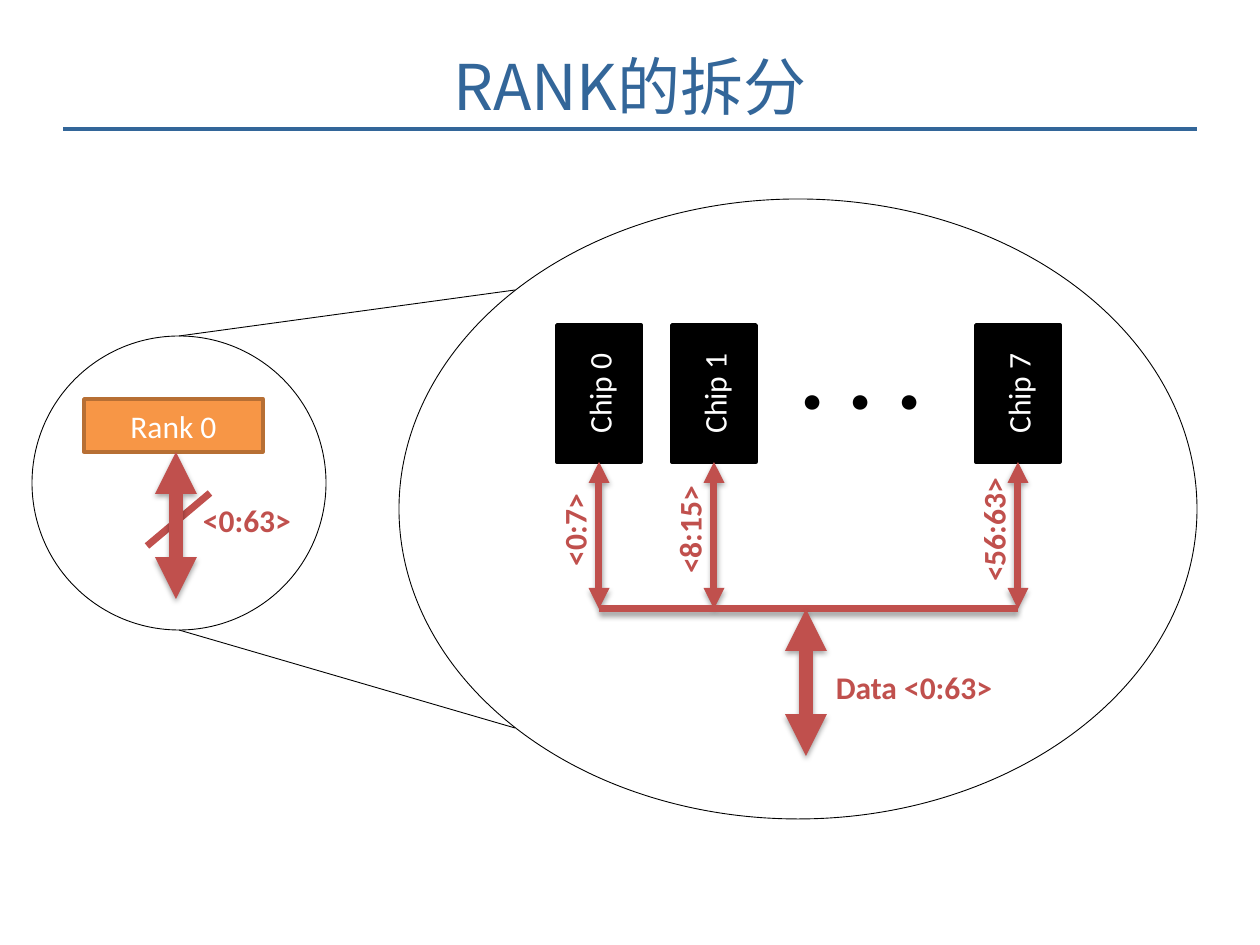
"""Build a slide showing how a memory rank splits into eight chips."""
import pptx
import pptx.dml.color
import pptx.enum.shapes
import pptx.enum.text
import pptx.oxml
import pptx.oxml.ns
import pptx.util

THEME = {
    "blue": "336699", "red": "C0504D", "orange": "F79646", "brown": "B76F34",
    "black": "000000", "white": "FFFFFF",
    "body_font": "Calibri", "title_font": "Noto Sans CJK SC",
    "title": 36, "label": 18, "dots": 56,
    "hair": 0.5, "border": 2, "bus": 4, "wide": 8,
}
TITLE = ("RANK的拆分", (63, 32, 1134, 106))
RANK = ("Rank 0", (84, 399, 179, 53))
CHIPS = [("Chip 0", "<0:7>", 599), ("Chip 1", "<8:15>", 714), ("Chip 7", "<56:63>", 1018)]
CHIP_WIDTH, CHIP_HEIGHT, CHIP_TOP = 84, 137, 325
BUS_Y = 609
LANE_LABEL_WIDTH, LABEL_HEIGHT, LANE_LABEL_TOP, LANE_LABEL_SHIFT = 136, 50, 505, 25
ELLIPSES = [(32, 336, 294, 294), (399, 199, 798, 620)]
ZOOM_LINES = [(179, 336, 515, 290), (179, 630, 515, 728)]
WIDE_ARROWS = [(176, 599, 176, 452), (806, 756, 806, 609)]
SLASH = (147, 546, 210, 493)
RED_LABELS = [("<0:63>", (179, 495, 136, 50)), ("Data <0:63>", (809, 662, 210, 50))]
DOTS = (". . .", (777, 305, 168, 131))
TITLE_RULE = (63, 129, 1197, 129)

SHADOW = (
    '<a:outerShdw blurRad="40000" dist="23000" dir="5400000" rotWithShape="0">'
    '<a:srgbClr val="000000"><a:alpha val="35000"/></a:srgbClr></a:outerShdw>'
)


def px(*values):
    return [pptx.util.Emu(round(value * 914400 / 126)) for value in values]


def color(name):
    return pptx.dml.color.RGBColor.from_string(THEME[name])


def write(shape, text, ink, size="label", bold=False, font="body_font"):
    frame = shape.text_frame
    frame.word_wrap = True
    paragraph = frame.paragraphs[0]
    paragraph.text = text
    paragraph.alignment = pptx.enum.text.PP_ALIGN.CENTER
    paragraph.font.name = THEME[font]
    paragraph.font.size = pptx.util.Pt(THEME[size])
    paragraph.font.bold = bold
    paragraph.font.color.rgb = color(ink)
    return frame


def add_label(slide, text, box, ink, **style):
    shape = slide.shapes.add_textbox(*px(*box))
    write(shape, text, ink, **style)
    return shape


def add_shape(slide, kind, box, line, width, fill=None):
    shape = slide.shapes.add_shape(kind, *px(*box))
    shape.shadow.inherit = False
    if fill:
        shape.fill.solid()
        shape.fill.fore_color.rgb = color(fill)
    else:
        shape.fill.background()
    shape.line.color.rgb = color(line)
    shape.line.width = pptx.util.Pt(THEME[width])
    return shape


def add_box(slide, text, box, fill, line):
    shape = add_shape(slide, pptx.enum.shapes.MSO_SHAPE.RECTANGLE, box, line, "border", fill)
    frame = write(shape, text, "white")
    frame.vertical_anchor = pptx.enum.text.MSO_ANCHOR.MIDDLE
    return shape


def add_line(slide, ends, ink, width, arrows=False, shadow=False):
    line = slide.shapes.add_connector(pptx.enum.shapes.MSO_CONNECTOR.STRAIGHT, *px(*ends))
    line.line.color.rgb = color(ink)
    line.line.width = pptx.util.Pt(THEME[width])
    if arrows:
        outline = line.line._get_or_add_ln()
        for tag in ("a:headEnd", "a:tailEnd"):
            pptx.oxml.ns.qn(tag)
            end = outline.makeelement(pptx.oxml.ns.qn(tag), {"type": "triangle"})
            outline.append(end)
    effects = f'<a:effectLst {pptx.oxml.ns.nsdecls("a")}>{SHADOW if shadow else ""}</a:effectLst>'
    line._element.spPr.append(pptx.oxml.parse_xml(effects))
    return line


def add_chip(slide, name, lane, center):
    box = (center - CHIP_WIDTH / 2, CHIP_TOP, CHIP_WIDTH, CHIP_HEIGHT)
    chip = add_box(slide, name, box, "black", "black")
    chip.text_frame._txBody.bodyPr.set("vert", "vert270")
    ends = (center, BUS_Y, center, CHIP_TOP + CHIP_HEIGHT)
    arrow = add_line(slide, ends, "red", "bus", arrows=True, shadow=True)
    arrow.end_connect(chip, 2)
    left = center - LANE_LABEL_SHIFT - LANE_LABEL_WIDTH / 2
    label_box = (left, LANE_LABEL_TOP, LANE_LABEL_WIDTH, LABEL_HEIGHT)
    add_label(slide, lane, label_box, "red", bold=True).rotation = 270


def add_title(slide):
    text, box = TITLE
    title = add_label(slide, text, box, "blue", size="title", font="title_font")
    title.text_frame.vertical_anchor = pptx.enum.text.MSO_ANCHOR.MIDDLE
    properties = title.text_frame.paragraphs[0].font._element
    east_asian = properties.makeelement(
        pptx.oxml.ns.qn("a:ea"), {"typeface": THEME["title_font"]})
    properties.find(pptx.oxml.ns.qn("a:latin")).addnext(east_asian)
    add_line(slide, TITLE_RULE, "blue", "border")


def main():
    presentation = pptx.Presentation()
    presentation.slide_width, presentation.slide_height = px(1260, 945)
    slide = presentation.slides.add_slide(presentation.slide_layouts[6])
    add_title(slide)
    for box in ELLIPSES:
        add_shape(slide, pptx.enum.shapes.MSO_SHAPE.OVAL, box, "black", "hair")
    for ends in ZOOM_LINES:
        add_line(slide, ends, "black", "hair")
    add_box(slide, *RANK, "orange", "brown")
    add_line(slide, SLASH, "red", "bus")
    for chip in CHIPS:
        add_chip(slide, *chip)
    add_label(slide, *DOTS, "black", size="dots", bold=True)
    add_line(slide, (CHIPS[0][2], BUS_Y, CHIPS[-1][2], BUS_Y), "red", "bus", shadow=True)
    for ends in WIDE_ARROWS:
        add_line(slide, ends, "red", "wide", arrows=True, shadow=True)
    for text, box in RED_LABELS:
        add_label(slide, text, box, "red", bold=True)
    presentation.save("out.pptx")


if __name__ == "__main__":
    main()
